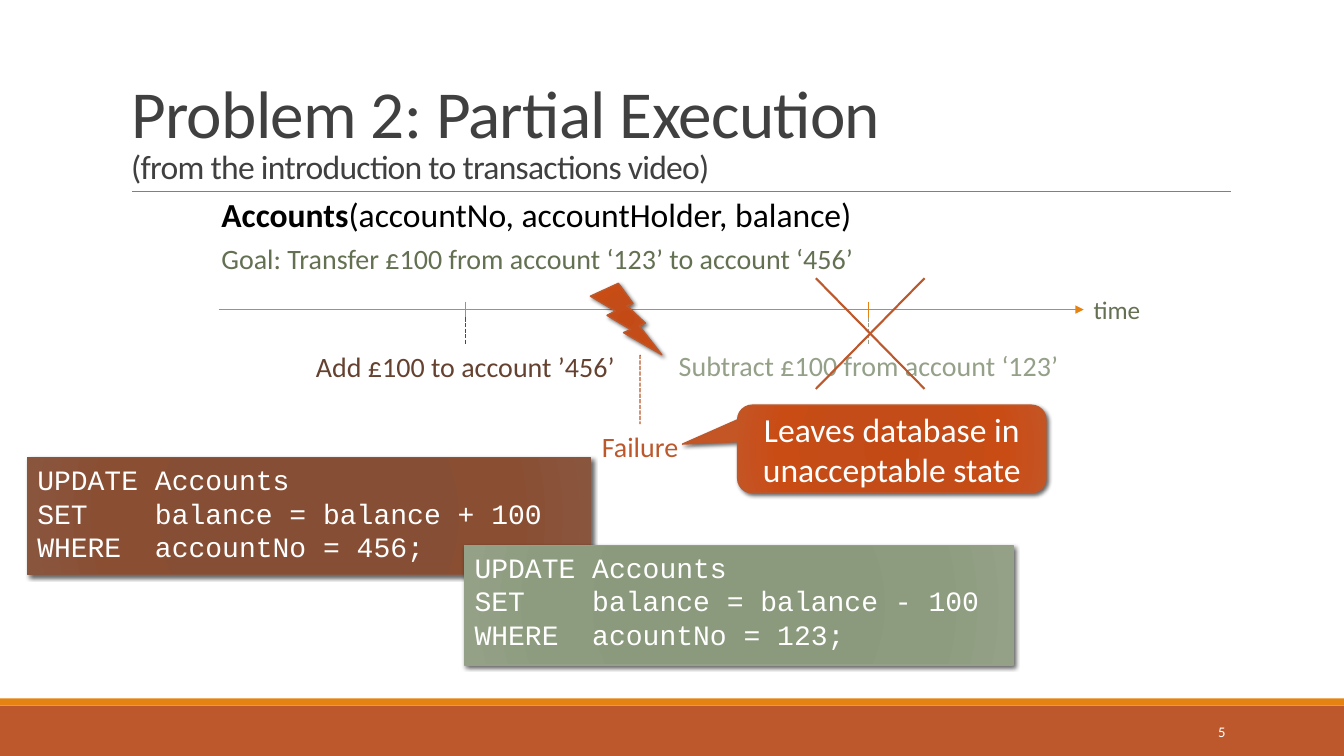
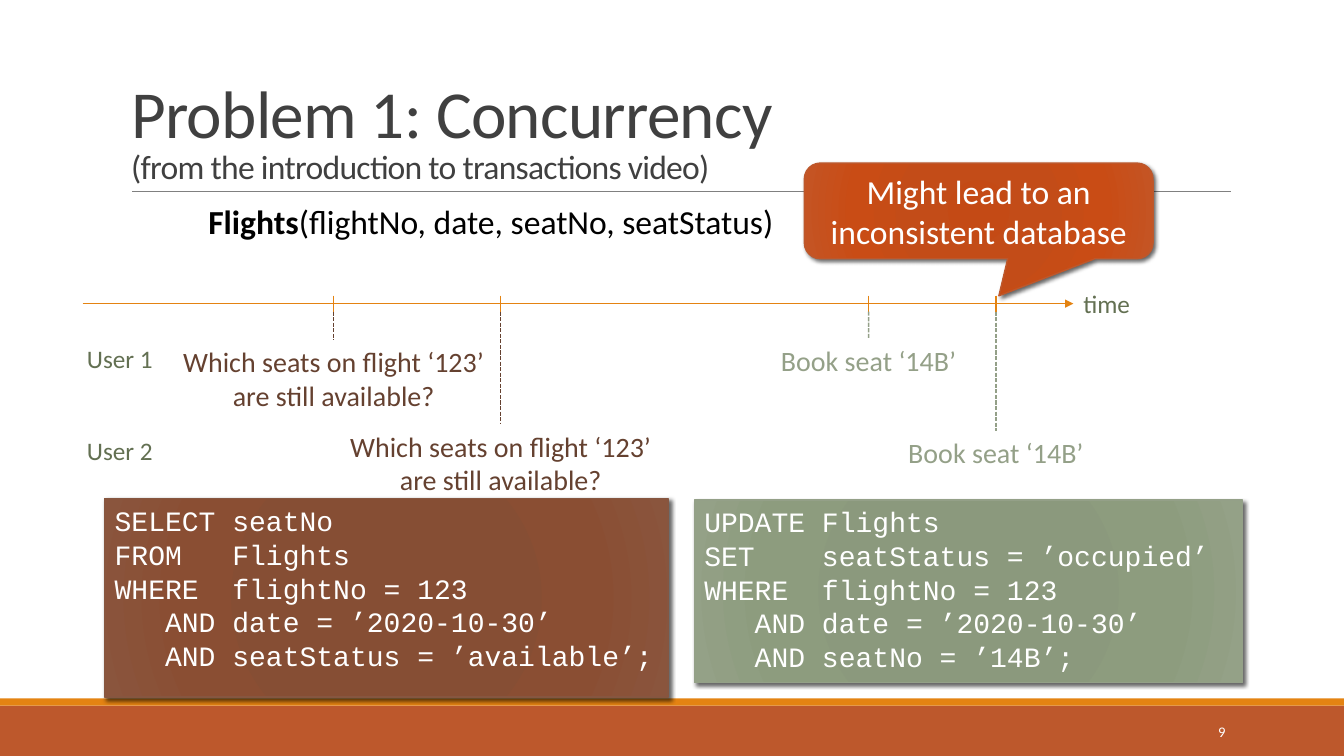
"""Build two slides on transaction problems: partial execution and concurrency."""
from copy import deepcopy
from dataclasses import dataclass

from lxml import etree
from pptx import Presentation
from pptx.dml.color import RGBColor
from pptx.enum.dml import MSO_LINE
from pptx.enum.shapes import MSO_CONNECTOR, MSO_SHAPE
from pptx.enum.text import MSO_ANCHOR, MSO_AUTO_SIZE, PP_ALIGN
from pptx.oxml import parse_xml
from pptx.oxml.ns import nsdecls, qn
from pptx.util import Cm, Pt

RECT, BOLT, CALLOUT = MSO_SHAPE.RECTANGLE, MSO_SHAPE.LIGHTNING_BOLT, MSO_SHAPE.ROUNDED_RECTANGULAR_CALLOUT
LEFT, CENTER, RIGHT = PP_ALIGN.LEFT, PP_ALIGN.CENTER, PP_ALIGN.RIGHT
TOP, MIDDLE, BOTTOM = MSO_ANCHOR.TOP, MSO_ANCHOR.MIDDLE, MSO_ANCHOR.BOTTOM
STRAIGHT, DASH = MSO_CONNECTOR.STRAIGHT, MSO_LINE.SQUARE_DOT
NO_FIT, GROW = MSO_AUTO_SIZE.NONE, MSO_AUTO_SIZE.SHAPE_TO_FIT_TEXT


@dataclass(frozen=True)
class Theme:
    font: str = "Calibri"
    code_font: str = "Courier New"
    title: str = "404040"
    black: str = "000000"
    white: str = "FFFFFF"
    grey: str = "808080"
    orange: str = "E48312"
    rust: str = "BD582C"
    brown: str = "654130"
    brown_edge: str = "865640"
    sage: str = "94A088"
    olive: str = "637052"
    rust_fill: tuple = ("C44A15", "C34C18", "C94C15", "C45525")
    brown_fill: tuple = ("874C32", "864E34", "8A4E33", "8A553D")
    sage_fill: tuple = ("8A987B", "8B997D", "8D9C7E", "94A187")
    title_size: float = 48
    large: float = 24
    body: float = 20
    small: float = 18
    number: float = 10.5


T = Theme()


def write(sp, text, size, color, align=LEFT, anchor=TOP, font=T.font):
    tf = sp.text_frame
    tf.text = text
    tf.vertical_anchor = anchor
    for p in tf.paragraphs:
        p.alignment = align
        for r in p.runs:
            r.font.name, r.font.size = font, Pt(size)
            r.font.color.rgb = RGBColor.from_string(color)
    return tf


def add_line(s, x1, y1, x2, y2, color, width=1.0, dash=None):
    c = s.shapes.add_connector(STRAIGHT, Cm(x1), Cm(y1), Cm(x2), Cm(y2))
    c.line.color.rgb = RGBColor.from_string(color)
    c.line.width = Pt(width)
    if dash:
        c.line.dash_style = dash
    etree.SubElement(c.element.spPr, qn("a:effectLst"))
    return c


SEATS = "Which seats on flight ‘123’\nare still available?"
BOOK = "Book seat ‘14B’"
TICK = 0.2

SLIDES = [
    dict(
        number="5", title="Problem 2: Partial Execution",
        table="Accounts", columns="(accountNo, accountHolder, balance)",
        heading_box=(5.33, 4.75, 16.56, 1.27),
        axis=(5.51, 27.31, 7.8),
        notes=[(5.33, 5.97, 16.59, 1.12, "Goal: Transfer £100 from account ‘123’ to account ‘456’", T.body, LEFT)],
        events=[
            (11.73, 8.69, 8.1, "Add £100 to account ’456’", T.brown),
            (21.89, 8.66, 10.16, "Subtract £100 from account ‘123’", T.sage),
        ],
        failures=[(16.13, 8.94, 10.69, 2.46, "Failure")],
        codes=[
            (0.69, 11.53, 14.2, 2.95, T.brown_fill, T.brown_edge,
             "UPDATE Accounts\nSET    balance = balance + 100\nWHERE  accountNo = 456;"),
            (11.71, 13.74, 13.82, 3.02, T.sage_fill, T.sage,
             "UPDATE Accounts\nSET    balance = balance - 100\nWHERE  acountNo = 123;"),
        ],
        bolts=[(14.88, 7.14, 1.8, 1.8)],
        callout=(18.59, 10.21, 7.77, 2.21), pointer=(-0.679, -0.056, 0.167),
        message="Leaves database in\vunacceptable state",
        crosses=[(20.56, 7.01, 23.3, 9.8)],
    ),
    dict(
        number="9", title="Problem 1: Concurrency",
        table="Flights", columns="(flightNo, date, seatNo, seatStatus)",
        heading_box=(5, 4.95, 15.29, 1.27),
        axis=(2.08, 27.05, 7.65),
        notes=[(1.93, 8.53, 2.18, 1.02, "User 1", T.small, CENTER),
               (1.93, 10.85, 2.18, 1.02, "User 2", T.small, CENTER)],
        events=[
            (8.41, 8.56, 8.18, SEATS, T.brown),
            (12.62, 10.69, 8.18, SEATS, T.brown),
            (21.89, 8.53, 4.98, BOOK, T.sage),
            (25.1, 10.85, 4.98, BOOK, T.sage),
        ],
        failures=[],
        codes=[
            (2.64, 12.57, 14.2, 5, T.brown_fill, T.brown_edge,
             "SELECT seatNo\nFROM   Flights\nWHERE  flightNo = 123\n"
             "   AND date = ’2020-10-30’\n   AND seatStatus = ’available’;"),
            (17.5, 12.6, 13.82, 4.6, T.sage_fill, T.sage,
             "UPDATE Flights\nSET    seatStatus = ’occupied’\nWHERE  flightNo = 123\n"
             "   AND date = ’2020-10-30’\n   AND seatNo = ’14B’;"),
        ],
        bolts=[],
        callout=(20.27, 4.11, 8.79, 2.41), pointer=(0.058, 0.888, 0.167),
        message="Might lead to an\vinconsistent database",
        crosses=[],
    ),
]

prs = Presentation()
prs.slide_width, prs.slide_height = Cm(33.87), Cm(19.05)
layout = prs.slide_layouts[5]
layout_ph = {ph.placeholder_format.idx: ph for ph in layout.placeholders}
for idx, box in ((0, (3.05, 0.79, 27.94, 4.04)), (12, (27.51, 17.93, 3.63, 1.02))):
    ph = layout_ph[idx]
    ph.left, ph.top, ph.width, ph.height = map(Cm, box)

slides = [prs.slides.add_slide(layout) for _ in SLIDES]

decor = []
for top, height, color in ((17.78, 1.27, T.rust), (17.6, 0.18, T.orange)):
    band = slides[0].shapes.add_shape(RECT, 0, Cm(top), prs.slide_width, Cm(height))
    band.fill.solid()
    band.fill.fore_color.rgb = RGBColor.from_string(color)
    band.line.fill.background()
    band.shadow.inherit = False
    decor.append(band)
decor.append(add_line(slides[0], 3.33, 4.83, 31.01, 4.83, T.grey, 0.5))
for i, sp in enumerate(decor):
    sp.element[0][0].set("id", str(20 + i))
    layout.shapes.element.insert(2 + i, sp.element)

for s, d in zip(slides, SLIDES):
    tf = write(s.shapes.title, d["title"] + "\v(from the introduction to transactions video)",
               T.title_size, T.title, anchor=BOTTOM)
    tf.auto_size = NO_FIT
    p = tf.paragraphs[0]
    p.line_spacing = 0.85
    p.runs[1].font.size = Pt(T.large)
    for r in p.runs:
        r._r.get_or_add_rPr().set("spc", "-50")

    s.shapes.element.append(deepcopy(layout_ph[12].element))
    write(s.placeholders[12], d["number"], T.number, T.white, RIGHT, MIDDLE)

    start, end, axis_y = d["axis"]
    labels = [(*d["heading_box"], d["table"], T.large, T.black, LEFT),
              (end, axis_y - 0.51, 1.7, 1.02, "time", T.small, T.olive, LEFT)]
    labels += [(x, y, w, h, text, size, T.olive, align) for x, y, w, h, text, size, align in d["notes"]]
    leads = [(x, axis_y + TICK, y, w, text, color) for x, y, w, text, color in d["events"]]
    leads += [(*failure, T.rust) for failure in d["failures"]]
    for x, _, y, w, text, color in leads:
        labels.append((x - w / 2, y, w, 1.96 if "\n" in text else 1.12, text, T.body, color, CENTER))

    boxes = []
    for x, y, w, h, text, size, color, align in labels:
        sp = s.shapes.add_textbox(Cm(x), Cm(y), Cm(w), Cm(h))
        tf = write(sp, text, size, color, align)
        tf.word_wrap, tf.auto_size = False, GROW
        boxes.append(sp)
    p = boxes[0].text_frame.paragraphs[0]
    p.runs[0].font.bold = True
    r = p.add_run()
    r.text = d["columns"]
    r.font.name, r.font.size = T.font, Pt(T.large)
    r.font.color.rgb = RGBColor.from_string(T.black)

    arrow = add_line(s, start, axis_y, end, axis_y, T.orange)
    arrow.end_connect(boxes[1], 1)
    etree.SubElement(arrow.line._get_or_add_ln(), qn("a:tailEnd"), type="triangle")
    for x, *_ in d["events"]:
        add_line(s, x, axis_y - TICK, x, axis_y + TICK, T.orange)
    for (x, y1, y2, _, _, color), label in zip(leads, boxes[-len(leads):]):
        add_line(s, x, y1, x, y2, color, dash=DASH).end_connect(label, 0)

    panels = [(RECT, box, fill, edge, text) for *box, fill, edge, text in d["codes"]]
    panels += [(BOLT, box, T.rust_fill, T.rust, "") for box in d["bolts"]]
    panels.append((CALLOUT, d["callout"], T.rust_fill, T.rust, d["message"]))
    for kind, box, fill, edge, text in panels:
        sp = s.shapes.add_shape(kind, *map(Cm, box))
        sp.line.color.rgb = RGBColor.from_string(edge)
        sp.line.width = Pt(1)
        sp.shadow.inherit = False
        stops = "".join(f'<a:gs pos="{pos}000"><a:srgbClr val="{color}"/></a:gs>'
                        for pos, color in zip((0, 34, 70, 100), fill))
        spPr = sp.element.spPr
        spPr.find(qn("a:ln")).addprevious(parse_xml(
            f'<a:gradFill {nsdecls("a")} rotWithShape="1"><a:gsLst>{stops}</a:gsLst><a:path path="circle">'
            '<a:fillToRect l="100000" t="100000" r="100000" b="100000"/></a:path></a:gradFill>'))
        spPr.find(qn("a:effectLst")).append(parse_xml(
            f'<a:outerShdw {nsdecls("a")} blurRad="38100" dist="25400" dir="2700000" algn="br" '
            'rotWithShape="0"><a:srgbClr val="000000"><a:alpha val="60000"/></a:srgbClr></a:outerShdw>'))
        if kind == RECT:
            write(sp, text, T.body, T.white, font=T.code_font)
        elif kind == CALLOUT:
            write(sp, text, T.large, T.white, CENTER, MIDDLE)
            for i, value in enumerate(d["pointer"]):
                sp.adjustments[i] = value

    for x1, y1, x2, y2 in d["crosses"]:
        add_line(s, x2, y1, x1, y2, T.rust, 1.5)
        add_line(s, x1, y1, x2, y2, T.rust, 1.5)

prs.save("out.pptx")
